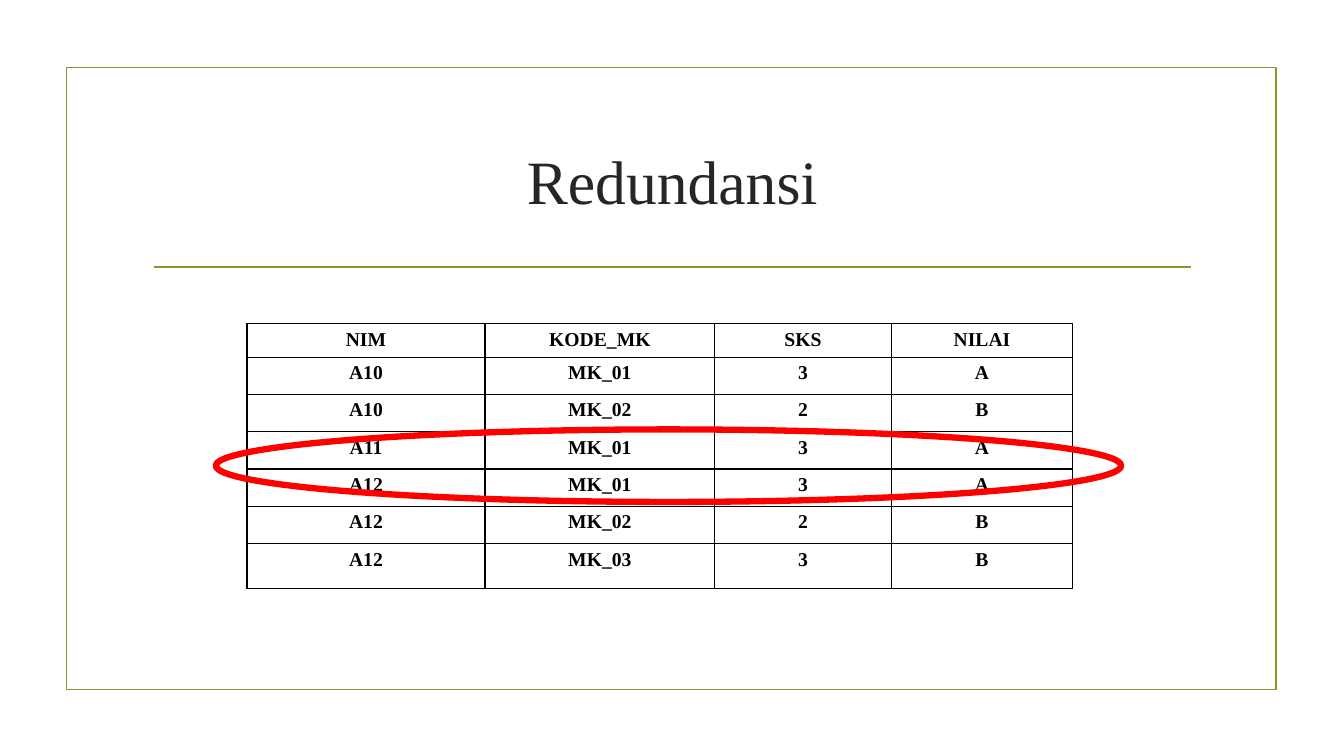
from lxml import etree
from pptx import Presentation
from pptx.dml.color import RGBColor
from pptx.enum import shapes, text
from pptx.oxml.ns import qn
from pptx.util import Inches, Pt

FONT = "Times New Roman"
GREEN, RED, BLACK, DARK = "83992A", "FF0000", "000000", "262626"
COLUMNS = [2.36, 2.28, 1.75, 1.8]
HEIGHTS = [0.33] + [0.37] * 5 + [0.45]
GRADES = [
    ("NIM", "KODE_MK", "SKS", "NILAI"),
    ("A10", "MK_01", "3", "A"),
    ("A10", "MK_02", "2", "B"),
    ("A11", "MK_01", "3", "A"),
    ("A12", "MK_01", "3", "A"),
    ("A12", "MK_02", "2", "B"),
    ("A12", "MK_03", "3", "B"),
]


def rgb(color):
    return RGBColor.from_string(color)


def write(tf, words, size, color, bold=False):
    tf.text = words
    p = tf.paragraphs[0]
    p.alignment = text.PP_ALIGN.CENTER
    f = p.runs[0].font
    f.name, f.size, f.bold = FONT, Pt(size), bold
    f.color.rgb = rgb(color)


def add_outline(s, kind, x, y, w, h, color, width):
    sp = s.shapes.add_shape(kind, Inches(x), Inches(y), Inches(w), Inches(h))
    sp.shadow.inherit = False
    sp.fill.background()
    sp.line.color.rgb = rgb(color)
    sp.line.width = Pt(width)


def add_frame(s, x, y, w, h):
    add_outline(s, shapes.MSO_SHAPE.RECTANGLE, x, y, w, h, GREEN, 1.25)
    rule_y = Inches(y + 1.98)
    line = s.shapes.add_connector(
        shapes.MSO_CONNECTOR.STRAIGHT,
        Inches(x + 0.87), rule_y, Inches(x + w - 0.85), rule_y)
    line.line.color.rgb = rgb(GREEN)
    line.line.width = Pt(1.25)
    etree.SubElement(line._element.spPr, qn("a:effectLst"))


def add_title(s, words, x, y, w, h):
    sp = s.shapes.add_textbox(Inches(x), Inches(y), Inches(w), Inches(h))
    tf = sp.text_frame
    tf.word_wrap = True
    tf.vertical_anchor = text.MSO_ANCHOR.MIDDLE
    write(tf, words, 44, DARK)


def add_borders(cell):
    tcPr = cell._tc.get_or_add_tcPr()
    for i, side in enumerate(("lnL", "lnR", "lnT", "lnB")):
        ln = etree.Element(qn(f"a:{side}"), w=str(Pt(1)))
        fill = etree.SubElement(ln, qn("a:solidFill"))
        etree.SubElement(fill, qn("a:srgbClr"), val=BLACK)
        tcPr.insert(i, ln)


def add_grades(s, x, y):
    table = s.shapes.add_table(
        len(HEIGHTS), len(COLUMNS), Inches(x), Inches(y),
        Inches(sum(COLUMNS)), Inches(sum(HEIGHTS))).table
    table.first_row = table.horz_banding = False
    for column, width in zip(table.columns, COLUMNS):
        column.width = Inches(width)
    for row, height, values in zip(table.rows, HEIGHTS, GRADES):
        row.height = Inches(height)
        for cell, value in zip(row.cells, values):
            cell.fill.background()
            add_borders(cell)
            write(cell.text_frame, value, 14, BLACK, True)


def main():
    prs = Presentation()
    prs.slide_width, prs.slide_height = Inches(13.33), Inches(7.5)
    s = prs.slides.add_slide(prs.slide_layouts[6])
    add_frame(s, 0.66, 0.67, 12, 6.17)
    add_title(s, "Redundansi", 1.42, 1.07, 10.5, 1.43)
    add_grades(s, 2.45, 3.21)
    add_outline(s, shapes.MSO_SHAPE.OVAL, 2.14, 4.26, 8.98, 0.72, RED, 4.5)
    prs.save("out.pptx")


if __name__ == "__main__":
    main()
